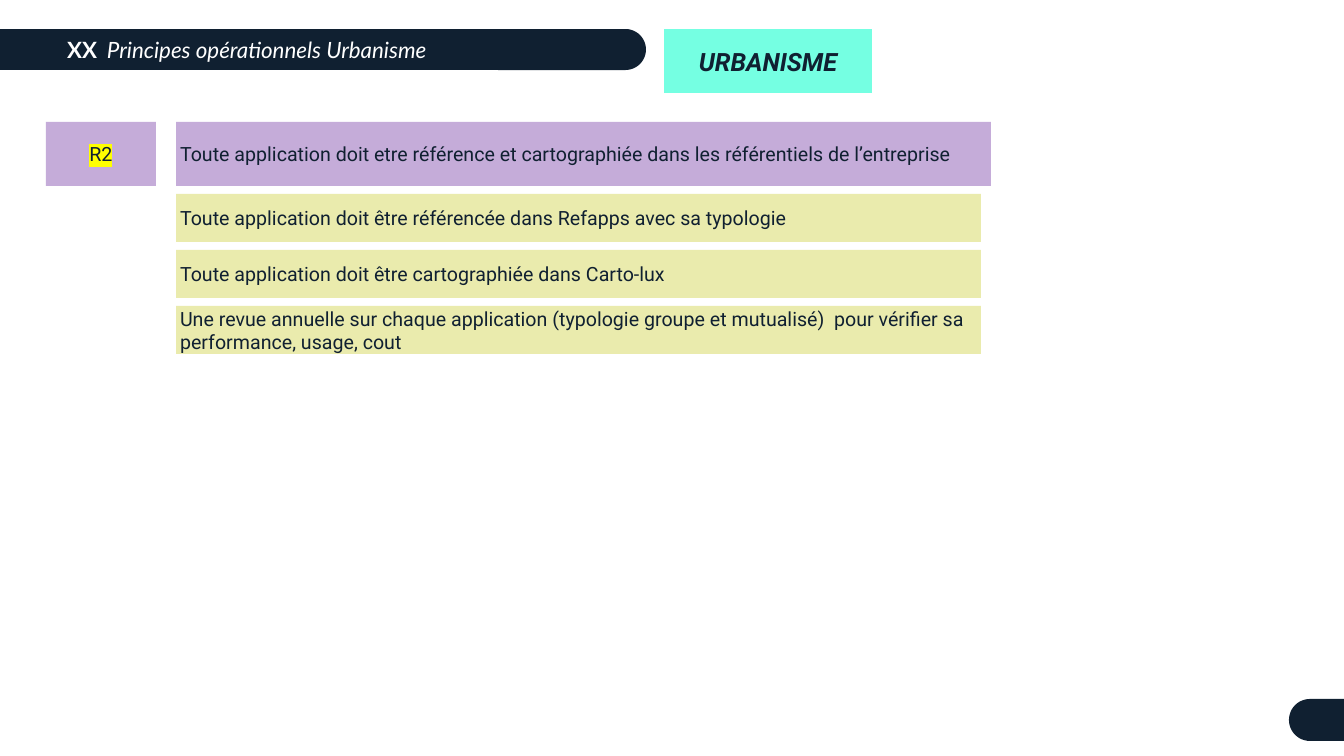
"""Build the urbanism principles slide: header, rule R2 and its detailed requirements."""
from math import cos, pi, sin

from lxml.etree import SubElement
from pptx import Presentation
from pptx.dml.color import RGBColor
from pptx.enum.shapes import MSO_SHAPE as Shape
from pptx.enum.text import MSO_ANCHOR as Anchor, PP_ALIGN as Align
from pptx.oxml.ns import qn
from pptx.util import Emu, Pt

PX = 914400 / 100.8
COLORS = {"navy": "102031", "white": "FFFFFF", "mint": "32FFD4",
          "violet": "7030A0", "olive": "CCCD33", "yellow": "FFFF00"}

SECTION_NUMBER = "XX"
SECTION_TITLE = "Principes opérationnels Urbanisme"
DOMAIN = "URBANISME"
RULE_CODE = "R2"
RULE = "Toute application doit etre référence et cartographiée dans les référentiels de l’entreprise"
REQUIREMENTS = [
    "Toute application doit être référencée dans Refapps avec sa typologie",
    "Toute application doit être cartographiée dans Carto-lux",
    "Une revue annuelle sur chaque application (typologie groupe et mutualisé)  "
    "pour vérifier sa performance, usage, cout",
]

HEADER_TOP, HEADER_HEIGHT = 29, 41
RULE_LEFT, RULE_TOP, RULE_HEIGHT = 176, 122, 64
REQUIREMENT_HEIGHT, GAP = 48, 8
ARC_STEPS = 24


def px(*lengths):
    return [Emu(round(length * PX)) for length in lengths]


def color(name):
    return RGBColor.from_string(COLORS[name])


def paint(shape, fill, alpha=None):
    shape.shadow.inherit = False
    shape.fill.solid()
    shape.fill.fore_color.rgb = color(fill)
    shape.line.fill.background()
    if alpha:
        tint = shape.fill._xPr.find(qn("a:solidFill"))[0]
        SubElement(tint, qn("a:alpha")).set("val", str(alpha * 1000))


def write(shape, text, size, font="Roboto", ink="navy", align=Align.LEFT,
          inset=(0, 0), bold=False, italic=False):
    frame = shape.text_frame
    frame.word_wrap = True
    frame.vertical_anchor = Anchor.MIDDLE
    frame.margin_left = frame.margin_right = px(inset[0])[0]
    frame.margin_top = frame.margin_bottom = px(inset[1])[0]
    frame.text = text
    paragraph = frame.paragraphs[0]
    paragraph.alignment = align
    run = paragraph.runs[0]
    run.font.size = Pt(size)
    run.font.color.rgb = color(ink)
    run.font.name = font
    run.font.bold = bold
    run.font.italic = italic
    return run


def add_block(slide, box, fill, alpha, text, size=14, inset=(4, 5), **style):
    block = slide.shapes.add_shape(Shape.RECTANGLE, *px(*box))
    paint(block, fill, alpha)
    return write(block, text, size, inset=inset, **style)


def add_cap(slide, flat_x, round_x, top, height):
    radius = height / 2
    side = 1 if round_x > flat_x else -1
    angles = [pi * step / ARC_STEPS - pi / 2 for step in range(ARC_STEPS + 1)]
    arc = [(round_x + side * radius * (cos(angle) - 1), top + radius * (1 + sin(angle)))
           for angle in angles]
    outline = slide.shapes.build_freeform(*px(flat_x, top))
    outline.add_line_segments([px(*point) for point in arc + [(flat_x, top + height)]])
    paint(outline.convert_to_shape(), "navy")


def add_header(slide):
    add_cap(slide, 498, 646, HEADER_TOP, HEADER_HEIGHT)
    bar = slide.shapes.add_shape(Shape.RECTANGLE, *px(0, HEADER_TOP, 524, HEADER_HEIGHT))
    paint(bar, "navy")
    for text, left, width, style in (
        (SECTION_TITLE, 107, 524, {"italic": True}),
        (SECTION_NUMBER, 59, 38, {"bold": True, "align": Align.RIGHT}),
    ):
        label = slide.shapes.add_textbox(*px(left, HEADER_TOP, width, HEADER_HEIGHT))
        write(label, text, 16, font="Lato", ink="white", **style)
    add_block(slide, (664, HEADER_TOP, 208, RULE_HEIGHT), "mint", 67, DOMAIN, size=18,
              inset=(0, 5), align=Align.CENTER, bold=True, italic=True)


def add_rule(slide):
    code = add_block(slide, (46, RULE_TOP, 110, RULE_HEIGHT), "violet", 40, RULE_CODE,
                     align=Align.CENTER)
    properties = code.font._element
    highlight = SubElement(properties, qn("a:highlight"))
    SubElement(highlight, qn("a:srgbClr")).set("val", COLORS["yellow"])
    properties.find(qn("a:solidFill")).addnext(highlight)
    add_block(slide, (RULE_LEFT, RULE_TOP, 815, RULE_HEIGHT), "violet", 40, RULE)
    first_top = RULE_TOP + RULE_HEIGHT + GAP
    for row, requirement in enumerate(REQUIREMENTS):
        top = first_top + row * (REQUIREMENT_HEIGHT + GAP)
        add_block(slide, (RULE_LEFT, top, 805, REQUIREMENT_HEIGHT), "olive", 40, requirement)


def main():
    deck = Presentation()
    deck.slide_width, deck.slide_height = px(1344, 756)
    slide = deck.slides.add_slide(deck.slide_layouts[6])
    add_cap(slide, 1344, 1289, 699, 42)
    add_header(slide)
    add_rule(slide)
    deck.save("out.pptx")


if __name__ == "__main__":
    main()
